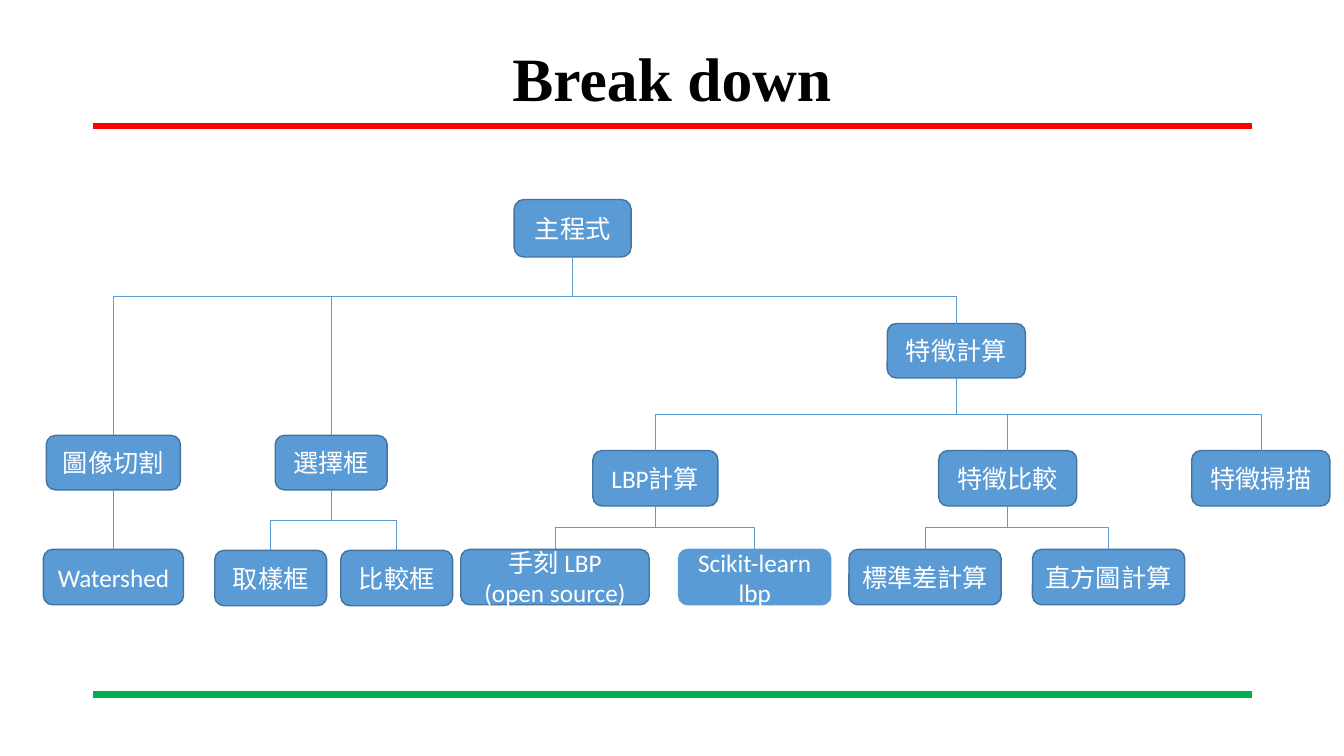
from dataclasses import dataclass

from lxml.etree import SubElement
from pptx import Presentation
from pptx.dml.color import RGBColor
from pptx.enum.shapes import MSO_CONNECTOR, MSO_SHAPE
from pptx.enum.text import MSO_ANCHOR, PP_ALIGN
from pptx.oxml.ns import qn
from pptx.shapes.autoshape import Shape
from pptx.shapes.connector import Connector
from pptx.slide import Slide
from pptx.util import Inches, Pt


@dataclass(frozen=True)
class Theme:
    red: str = "FF0000"
    green: str = "00B050"
    blue: str = "5B9BD5"
    edge: str = "43739E"
    white: str = "FFFFFF"
    black: str = "000000"
    head: str = "Times New Roman"
    body: str = "Calibri"
    large: int = 44
    small: int = 18


@dataclass(frozen=True)
class Node:
    key: str
    text: str
    left: float
    top: float
    width: float
    parent: str = ""
    height: float = 0.55
    edge: str = Theme.edge


@dataclass(frozen=True)
class Rule:
    top: float
    color: str


THEME = Theme()
RULES = [Rule(1.25, THEME.red), Rule(6.89, THEME.green)]
ROW = 4.47  # feature steps
LEAF = 5.45
BUS = {"main": 2.94}  # height of the crossbar where it is not halfway

NODES = [
    Node("main", "主程式", 5.1, 1.98, 1.16, height=0.57),
    Node("split", "圖像切割", 0.46, 4.32, 1.33, "main", 0.54),
    Node("select", "選擇框", 2.73, 4.32, 1.11, "main", 0.54),
    Node("feature", "特徵計算", 8.8, 3.21, 1.37, "main", 0.54),
    Node("shed", "Watershed", 0.43, LEAF, 1.39, "split"),
    Node("sample", "取樣框", 2.13, 5.46, 1.11, "select"),
    Node("match", "比較框", 3.38, 5.46, 1.11, "select"),
    Node("lbp", "LBP計算", 5.88, ROW, 1.24, "feature"),
    Node("compare", "特徵比較", 9.31, ROW, 1.37, "feature"),
    Node("scan", "特徵掃描", 11.82, ROW, 1.37, "feature"),
    Node("hand", "手刻 LBP\n(open source)", 4.57, LEAF, 1.87, "lbp"),
    Node("kit", "Scikit-learn\nlbp", 6.73, LEAF, 1.51, "lbp", edge=THEME.blue),
    Node("spread", "標準差計算", 8.42, LEAF, 1.51, "compare"),
    Node("chart", "直方圖計算", 10.24, LEAF, 1.51, "compare"),
]


def rgb(color: str) -> RGBColor:
    return RGBColor.from_string(color)


def style(line: Connector, color: str, width: float) -> None:
    line.line.color.rgb = rgb(color)
    line.line.width = Pt(width)
    SubElement(line._element.spPr, qn("a:effectLst"))


def draw_rule(slide: Slide, rule: Rule) -> None:
    line = slide.shapes.add_connector(
        MSO_CONNECTOR.STRAIGHT,
        Inches(0.92), Inches(rule.top), Inches(12.42), Inches(rule.top),
    )
    style(line, rule.color, 4.5)


def draw_title(slide: Slide, text: str) -> None:
    box = slide.shapes.add_textbox(Inches(2), Inches(0.11), Inches(9.33), Inches(1.4))
    frame = box.text_frame
    frame.word_wrap = True
    frame.vertical_anchor = MSO_ANCHOR.MIDDLE
    frame.text = text
    para = frame.paragraphs[0]
    para.alignment = PP_ALIGN.CENTER
    para.line_spacing = 0.9
    font = para.font
    font.name, font.size, font.bold = THEME.head, Pt(THEME.large), True
    font.color.rgb = rgb(THEME.black)


def draw_node(slide: Slide, node: Node) -> Shape:
    box = slide.shapes.add_shape(
        MSO_SHAPE.ROUNDED_RECTANGLE,
        Inches(node.left), Inches(node.top), Inches(node.width), Inches(node.height),
    )
    box.shadow.inherit = False
    box.fill.solid()
    box.fill.fore_color.rgb = rgb(THEME.blue)
    box.line.color.rgb = rgb(node.edge)
    box.line.width = Pt(1)
    frame = box.text_frame
    frame.text = node.text
    frame.vertical_anchor = MSO_ANCHOR.MIDDLE
    for para in frame.paragraphs:
        para.alignment = PP_ALIGN.CENTER
        para.font.name, para.font.size = THEME.body, Pt(THEME.small)
        para.font.color.rgb = rgb(THEME.white)
    return box


def bend(line: Connector, bus: float | None) -> None:
    """Turn an elbow so that it leaves downwards and crosses at the bus height."""
    start, end = line.begin_x, line.end_x
    top, drop = line.begin_y, line.end_y - line.begin_y
    span = abs(end - start)
    line.left = (start + end - drop) // 2
    line.top = top + (drop - span) // 2
    line.width, line.height = drop, span
    frame = line._element.spPr.find(qn("a:xfrm"))
    frame.set("rot", "16200000" if end > start else "5400000")
    frame.set("flipH", "1" if end > start else "0")
    if bus is not None:
        ratio = round((Inches(bus) - top) / drop * 100000)
        guides = line._element.spPr.find(qn("a:prstGeom")).find(qn("a:avLst"))
        SubElement(guides, qn("a:gd"), name="adj1", fmla=f"val {ratio}")


def draw_link(slide: Slide, upper: Shape, lower: Shape, bus: float | None) -> None:
    shift = lower.left + lower.width // 2 - upper.left - upper.width // 2
    bent = abs(shift) > Inches(0.02)
    kind = MSO_CONNECTOR.ELBOW if bent else MSO_CONNECTOR.STRAIGHT
    line = slide.shapes.add_connector(kind, 0, 0, 0, 0)
    line.begin_connect(upper, 2)
    line.end_connect(lower, 0)
    if bent:
        bend(line, bus)
    style(line, THEME.blue, 0.5)


def main() -> None:
    deck = Presentation()
    deck.slide_width, deck.slide_height = Inches(13.33), Inches(7.5)
    slide = deck.slides.add_slide(deck.slide_layouts[6])
    for rule in RULES:
        draw_rule(slide, rule)
    draw_title(slide, "Break down")
    boxes = {node.key: draw_node(slide, node) for node in NODES}
    for node in NODES:
        if node.parent:
            draw_link(slide, boxes[node.parent], boxes[node.key], BUS.get(node.parent))
    deck.save("out.pptx")


if __name__ == "__main__":
    main()
